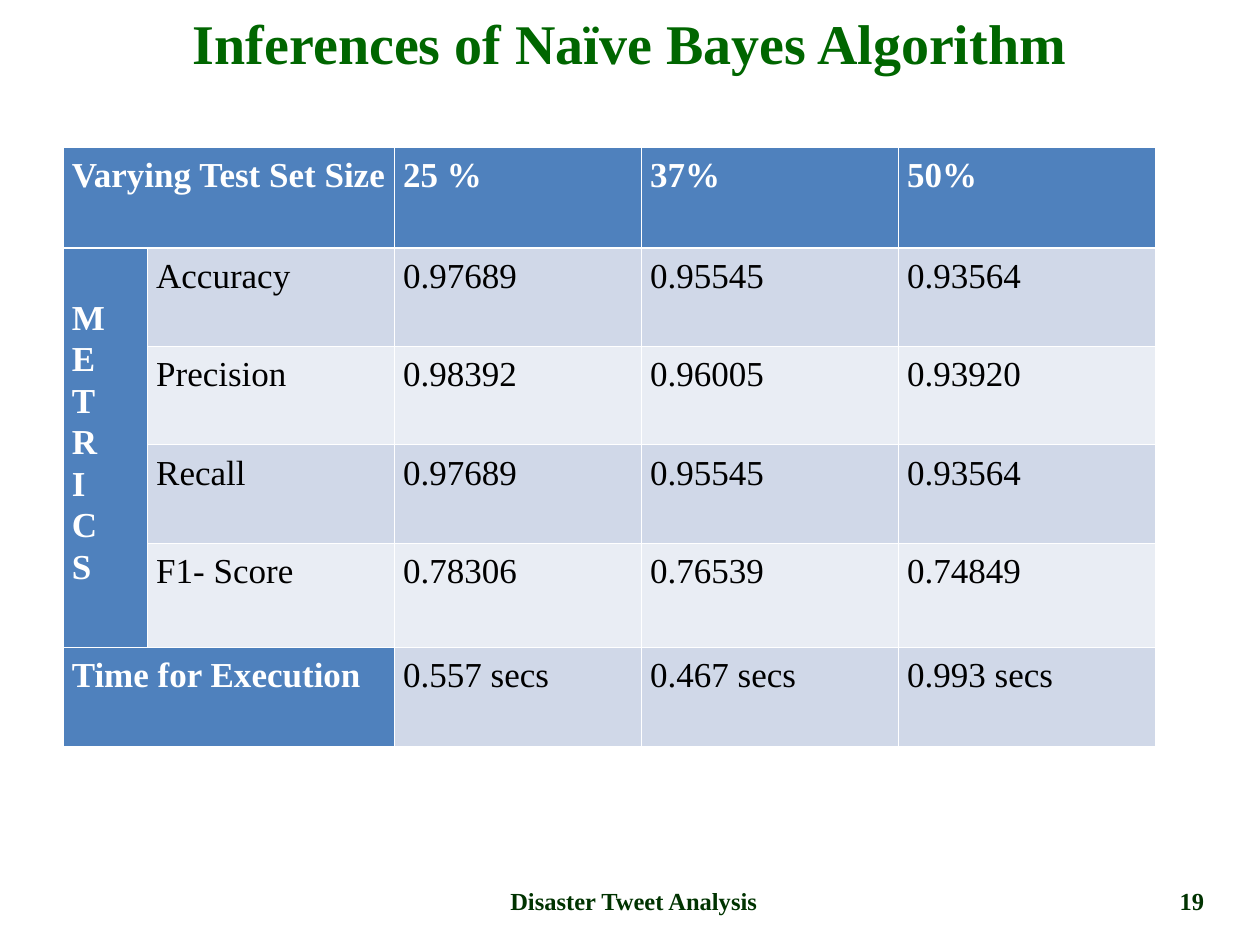
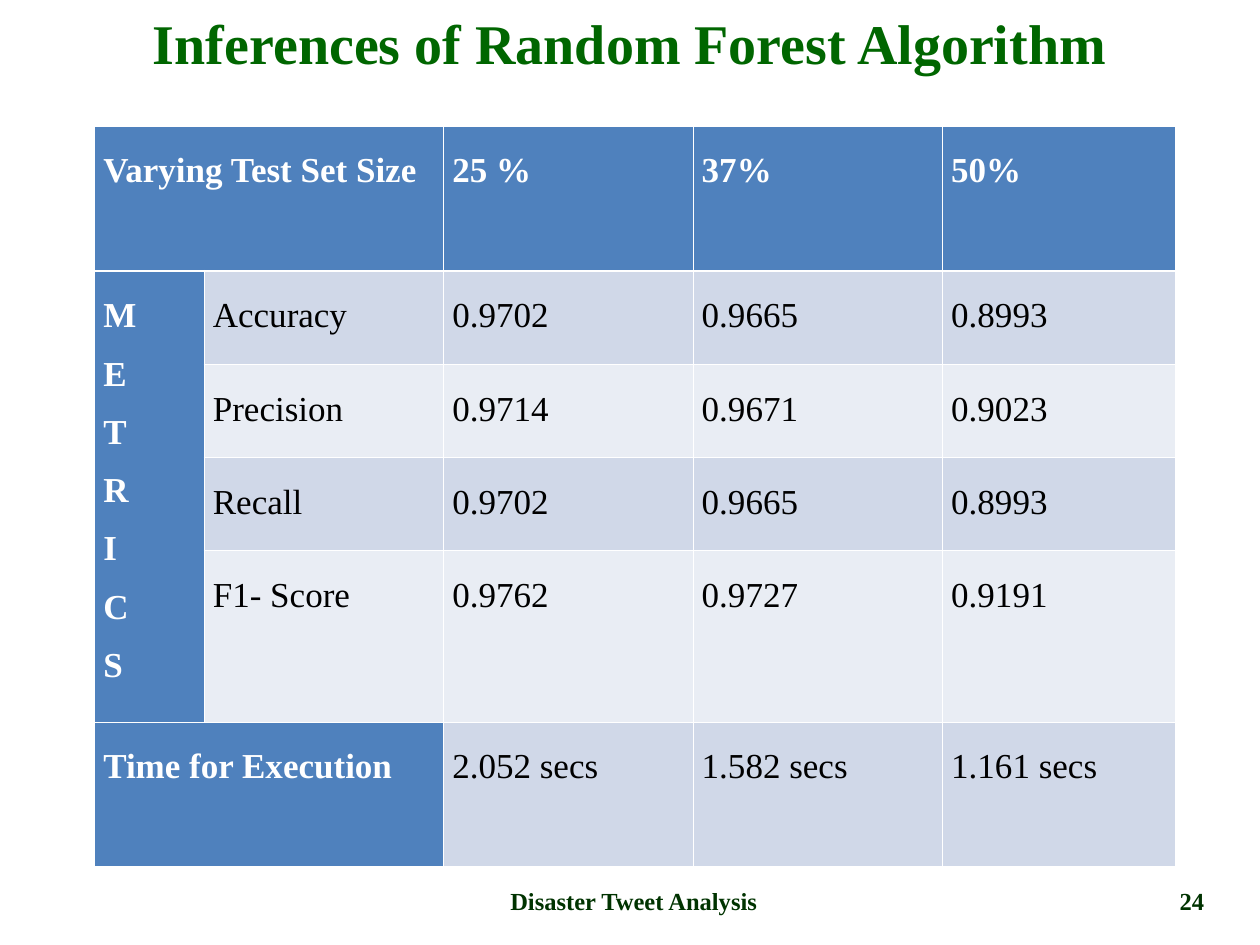
"""Build two slides that compare test metrics of two algorithms."""
from pptx import Presentation
from pptx.dml.color import RGBColor
from pptx.enum.text import MSO_ANCHOR, MSO_AUTO_SIZE, PP_ALIGN
from pptx.oxml import parse_xml
from pptx.oxml.ns import nsdecls
from pptx.util import Inches, Pt

CENTER = PP_ALIGN.CENTER
MIDDLE = MSO_ANCHOR.MIDDLE
NO_FIT = MSO_AUTO_SIZE.NONE
FONT = "Times New Roman"
BLUE, WHITE, BLACK = "4F81BD", "FFFFFF", "000000"
BANDS = ["E9EDF4", "D0D8E8"]
TITLE = {"size": Pt(32), "bold": True, "color": "006600"}
FOOT = {"size": Pt(14), "bold": True, "color": "003300"}
HEAD = {"size": Pt(20), "bold": True, "color": WHITE}
BODY = {"size": Pt(20), "bold": False, "color": BLACK}
THIN, THICK = 0.45, 1.47
SIDES = ["Inches", "left", "right", "top", "bottom"][1:]
LABELS = ["Accuracy", "Precision", "Recall", "F1- Score"]

PAGES = [
    {
        "title": "Inferences of Naïve Bayes Algorithm", "page": "19",
        "at": (0.5, 1.17), "space": 1.07, "drop": 0.38,
        "cols": [0.67, 1.96, 1.96, 2.04, 2.04],
        "rows": [0.8, 0.78, 0.78, 0.78, 0.83, 0.78],
        "scores": [
            ["0.97689", "0.95545", "0.93564"],
            ["0.98392", "0.96005", "0.93920"],
            ["0.97689", "0.95545", "0.93564"],
            ["0.78306", "0.76539", "0.74849"],
        ],
        "times": ["0.557 secs", "0.467 secs", "0.993 secs"],
    },
    {
        "title": "Inferences of Random Forest Algorithm", "page": "24",
        "at": (0.75, 1), "space": 1.5, "drop": 0.05,
        "cols": [0.87, 1.9, 1.98, 1.98, 1.85],
        "rows": [1.15, 0.74, 0.74, 0.74, 1.36, 1.15],
        "scores": [
            ["0.9702", "0.9665", "0.8993"],
            ["0.9714", "0.9671", "0.9023"],
            ["0.9702", "0.9665", "0.8993"],
            ["0.9762", "0.9727", "0.9191"],
        ],
        "times": ["2.052 secs", "1.582 secs", "1.161 secs"],
    },
]


def paint(target, color):
    """Give a font or a fill a solid colour from a hex string."""
    if hasattr(target, "solid"):
        target.solid()
        target.fore_color.rgb = RGBColor.from_string(color)
    else:
        target.color.rgb = RGBColor.from_string(color)


def write(frame, text, style, **para):
    """Fill a text frame and format each of its paragraphs."""
    frame.text = text
    for line in frame.paragraphs:
        for name, value in para.items():
            setattr(line, name, value)
        line.font.name = FONT
        for name, value in style.items():
            if name == "color":
                paint(line.font, value)
            else:
                setattr(line.font, name, value)


deck = Presentation()
deck.slide_width, deck.slide_height = Inches(10), Inches(7.5)

for data in PAGES:
    slide = deck.slides.add_slide(deck.slide_layouts[5])
    title = slide.shapes.title
    title.left, title.top = Inches(0), Inches(0)
    title.width, title.height = Inches(10), Inches(0.67)
    title.text_frame.auto_size = NO_FIT
    title.text_frame.vertical_anchor = MIDDLE
    write(title.text_frame, data["title"], TITLE, alignment=CENTER)

    left, top = data["at"]
    cols, rows = data["cols"], data["rows"]
    frame = slide.shapes.add_table(
        len(rows), len(cols), Inches(left), Inches(top),
        Inches(sum(cols)), Inches(sum(rows)))
    table = frame.table
    for col, width in zip(table.columns, cols):
        col.width = Inches(width)
    for row, height in zip(table.rows, rows):
        row.height = Inches(height)

    grid = [["Varying Test Set Size", "", "25 %", "37%", "50%"]]
    for label, scores in zip(LABELS, data["scores"]):
        grid.append(["", label, *scores])
    grid[1][0] = "\n".join("METRICS")
    grid.append(["Time for Execution", "", *data["times"]])
    last = len(grid) - 1

    for r, line in enumerate(grid):
        for c, text in enumerate(line):
            cell = table.cell(r, c)
            head = r == 0 or c == 0 or (r == last and c == 1)
            paint(cell.fill, BLUE if head else BANDS[r % 2])
            cell.margin_left = cell.margin_right = Inches(0.07)
            cell.margin_top = cell.margin_bottom = Inches(0.05)
            if text:
                write(cell.text_frame, text, HEAD if head else BODY,
                      line_spacing=data["space"])
            props = cell._tc.get_or_add_tcPr()
            for i, side in enumerate(SIDES):
                bold = (r, side) in [(0, "bottom"), (1, "top")]
                width = Pt(THICK if bold else THIN)
                tag = "ln" + side[0].upper()
                props.insert(i, parse_xml(
                    f'<a:{tag} {nsdecls("a")} w="{width}"><a:solidFill>'
                    f'<a:srgbClr val="{WHITE}"/></a:solidFill></a:{tag}>'))

    table.cell(1, 0).margin_top = Inches(data["drop"])
    table.cell(1, 0).merge(table.cell(last - 1, 0))
    for r in (0, last):
        table.cell(r, 0).merge(table.cell(r, 1))

    for x, width, text in [(1.27, 7.52, "Disaster Tweet Analysis"),
                           (9, 0.92, data["page"])]:
        box = slide.shapes.add_textbox(
            Inches(x), Inches(6.95), Inches(width), Inches(0.4))
        box.text_frame.word_wrap = True
        box.text_frame.vertical_anchor = MIDDLE
        write(box.text_frame, text, FOOT, alignment=CENTER)

deck.save("out.pptx")
